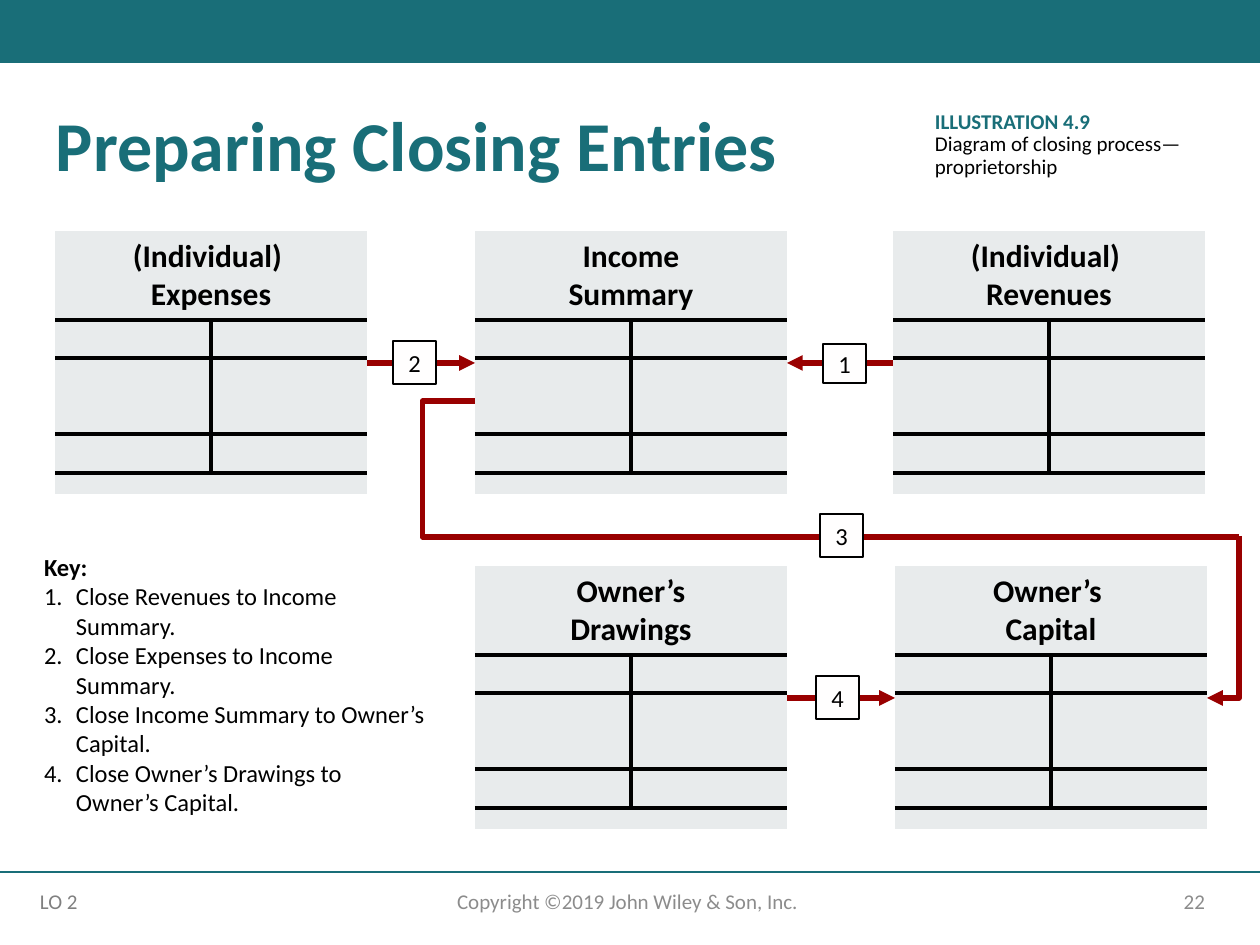
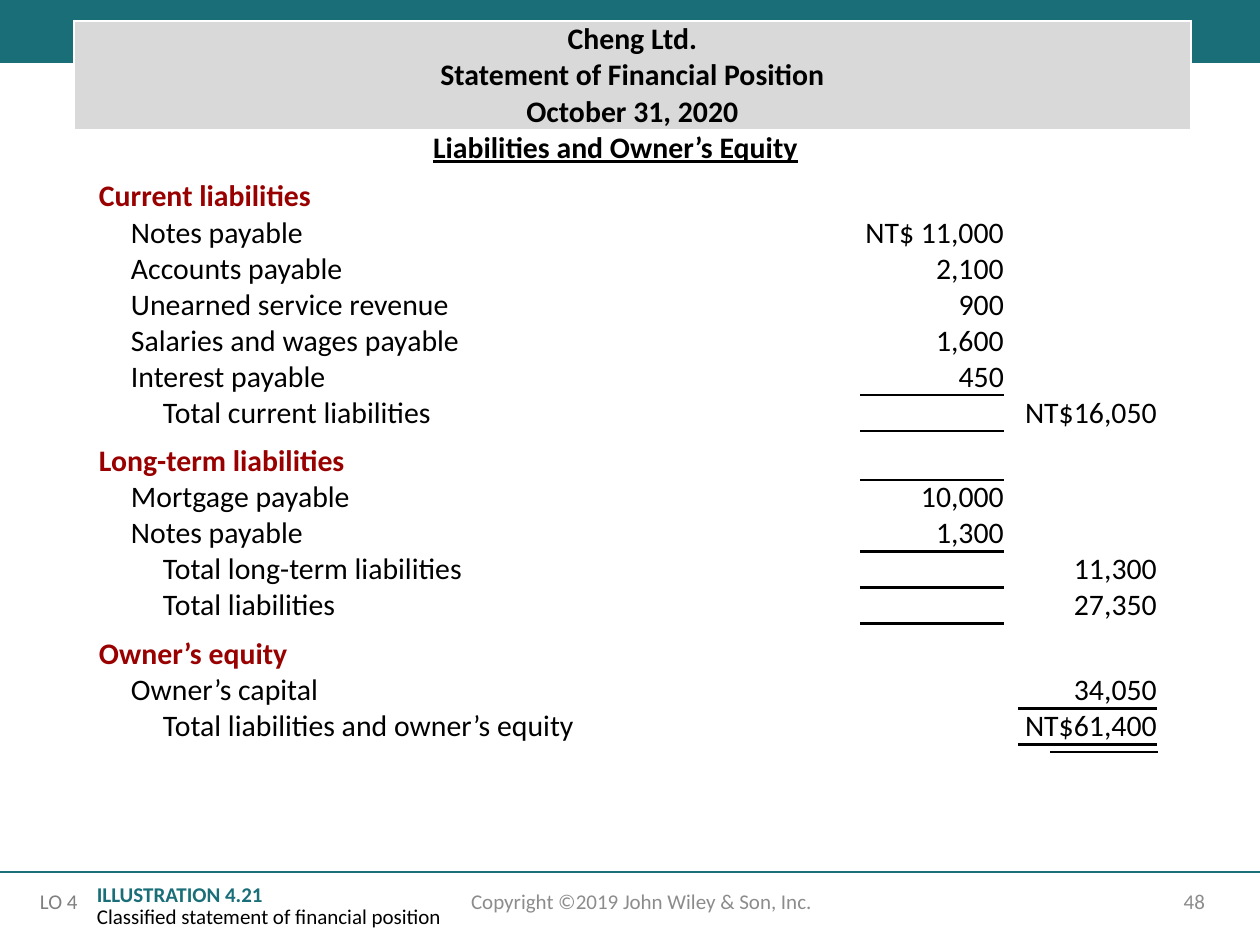
from lxml import etree
from pptx import Presentation
from pptx import util as u
from pptx.dml.color import RGBColor
from pptx.enum import shapes, text
from pptx.oxml.ns import qn

TEAL, RED, BLACK, WHITE = "196E78", "990000", "000000", "FFFFFF"
PALE, SILVER, GRAY, DIM = "E8EBEC", "D9D9D9", "8C8C8C", "808080"
FONT = "Calibri"
PLAIN = "{2D5ABB26-0587-4C30-8999-92F81FD0307C}"
CENTER, RIGHT = text.PP_ALIGN.CENTER, text.PP_ALIGN.RIGHT
TOP, MIDDLE, BOTTOM = (text.MSO_ANCHOR.TOP, text.MSO_ANCHOR.MIDDLE,
                       text.MSO_ANCHOR.BOTTOM)
STRAIGHT, ELBOW = shapes.MSO_CONNECTOR.STRAIGHT, shapes.MSO_CONNECTOR.ELBOW

# All lengths below are px
INSET = (13, 6, 13, 6)
COPYRIGHT = "Copyright ©2019 John Wiley & Son, Inc. "

TITLE = "Preparing Closing Entries"
ACCOUNTS = [
    (55, 231, ("(Individual) ", "Expenses")),
    (893, 231, ("(Individual) ", "Revenues")),
    (475, 231, ("Income", "Summary")),
    (895, 566, ("Owner’s ", "Capital")),
    (475, 566, ("Owner’s", "Drawings")),
]
ACCOUNT_COLS = (156, 156)
ACCOUNT_ROWS = (89, 38, 38, 38, 39, 21)
RULED = (0, 3, 4)
ARROWS = [(787, 698, 895, 698), (367, 363, 475, 363), (893, 363, 787, 363)]
STEPS = [
    ("1", (823, 344, 43, 39)),
    ("2", (393, 341, 43, 43)),
    ("3", (820, 514, 43, 43)),
    ("4", (816, 676, 43, 43)),
]
KEY = [
    "Close Revenues to Income Summary.",
    "Close Expenses to Income Summary.",
    "Close Income Summary to Owner’s Capital.",
    "Close Owner’s Drawings to Owner’s Capital.",
]

HEADING = ("Cheng Ltd.", "Statement of Financial Position", "October 31, 2020")
SECTION = "Liabilities and Owner’s Equity"
# level, label, inner amount, outer amount
ENTRIES = [
    (0, "Current liabilities", "", ""),
    (1, "Notes payable", "NT$ 11,000", ""),
    (1, "Accounts payable", "2,100", ""),
    (1, "Unearned service revenue", "900", ""),
    (1, "Salaries and wages payable", "1,600", ""),
    (1, "Interest payable", "450", ""),
    (2, "Total current liabilities", "", "NT$16,050"),
    (0, "Long-term liabilities", "", ""),
    (1, "Mortgage payable", "10,000", ""),
    (1, "Notes payable", "1,300", ""),
    (2, "Total long-term liabilities", "", "11,300"),
    (2, "Total liabilities", "", "27,350"),
    (0, "Owner’s equity", "", ""),
    (1, "Owner’s capital", "", "34,050"),
    (2, "Total liabilities and owner’s equity", "", "NT$61,400"),
]
SHEET_COLS = (665, 106, 15, 144, 14, 139, 34)
INNER, OUTER = 3, 5
SUMS = {(7, INNER), (8, INNER), (11, INNER), (12, INNER),
        (15, OUTER), (16, OUTER)}


def px(n):
    return u.Emu(round(n * 914400 / 126))


def rgb(code):
    return RGBColor.from_string(code)


def write(frame, paras, **base):
    """Fill a frame or cell; each paragraph is a string or (string, format)."""
    for i, item in enumerate(paras):
        words, own = (item, {}) if isinstance(item, str) else item
        par = frame.paragraphs[0] if i == 0 else frame.add_paragraph()
        run = par.add_run()
        run.text = words
        run.font.name = FONT
        for name, value in {"color": BLACK, **base, **own}.items():
            if name == "color":
                run.font.color.rgb = rgb(value)
            elif name == "size":
                run.font.size = u.Pt(value)
            elif name in ("alignment", "line_spacing"):
                setattr(par, name, value)
            elif name in ("marL", "indent"):
                par._p.get_or_add_pPr().set(name, str(px(value)))
            elif name == "number":
                etree.SubElement(par._p.get_or_add_pPr(), qn("a:buAutoNum"),
                                 type=value)
            else:
                setattr(run.font, name, value)


def pad(thing, inset):
    sides = ("margin_left", "margin_top", "margin_right", "margin_bottom")
    for side, value in zip(sides, inset):
        setattr(thing, side, px(value))


def put(slide, box, paras, fill=None, line=None, anchor=TOP, inset=INSET, **fmt):
    """Add a text box, or a rectangle when a fill is given."""
    spot = [px(n) for n in box]
    if fill:
        shape = slide.shapes.add_shape(shapes.MSO_SHAPE.RECTANGLE, *spot)
        shape.shadow.inherit = False
        shape.fill.solid()
        shape.fill.fore_color.rgb = rgb(fill)
        if line:
            shape.line.color.rgb = rgb(line)
            shape.line.width = u.Pt(0.75)
        else:
            shape.line.fill.background()
    else:
        shape = slide.shapes.add_textbox(*spot)
    frame = shape.text_frame
    frame.word_wrap = True
    frame.vertical_anchor = anchor
    pad(frame, inset)
    write(frame, paras, **{"alignment": text.PP_ALIGN.LEFT, **fmt})


def link(slide, ends, color, width, head=False, kind=STRAIGHT):
    wire = slide.shapes.add_connector(kind, *[px(n) for n in ends])
    wire.line.color.rgb = rgb(color)
    wire.line.width = u.Pt(width)
    if head:
        etree.SubElement(wire.line._get_or_add_ln(), qn("a:tailEnd"),
                         type="triangle")
    etree.SubElement(wire._element.spPr, qn("a:effectLst"))
    return wire


def grid(slide, left, top, cols, rows):
    """Add a table without any style and size its columns and rows."""
    spot = [px(n) for n in (left, top, sum(cols), sum(rows))]
    table = slide.shapes.add_table(len(rows), len(cols), *spot).table
    table.first_row = table.horz_banding = False
    table._tbl.tblPr[0].text = PLAIN
    for col, wide in zip(table.columns, cols):
        col.width = px(wide)
    for row, high in zip(table.rows, rows):
        row.height = px(high)
    return table


def dress(cell, sides, color, width, fill=None):
    """Set the borders named by letters of LRTB, then the fill."""
    props = cell._tc.get_or_add_tcPr()
    for side in "LRTB":
        if side in sides:
            edge = etree.SubElement(props, qn("a:ln" + side),
                                    w=str(u.Pt(width)))
            solid = etree.SubElement(edge, qn("a:solidFill"))
            etree.SubElement(solid, qn("a:srgbClr"), val=color)
    if fill:
        cell.fill.solid()
        cell.fill.fore_color.rgb = rgb(fill)
    else:
        cell.fill.background()
    cell.vertical_anchor = BOTTOM
    pad(cell, (0, 0, 0, 0))


def shrink(table):
    """Keep empty cells from stretching their rows."""
    for cell in table.iter_cells():
        if not cell.text:
            etree.SubElement(cell.text_frame.paragraphs[0]._p,
                             qn("a:endParaRPr"), sz="800")


def account(slide, left, top, name):
    table = grid(slide, left, top, ACCOUNT_COLS, ACCOUNT_ROWS)
    for r in range(len(ACCOUNT_ROWS)):
        for c in range(2):
            sides = "B" if r in RULED else ""
            sides += "T" if r - 1 in RULED else ""
            sides += "RL"[c] if 1 <= r <= 4 else ""
            dress(table.cell(r, c), sides, BLACK, 2.25, PALE)
    head = table.cell(0, 0)
    head.merge(table.cell(0, 1))
    pad(head, (0, 6, 0, 6))
    write(head.text_frame, name, size=18, bold=True, alignment=CENTER)
    shrink(table)


def sheet(slide):
    """Build the statement table."""
    rows = [109, 36] + [36 if entry[0] else 49 for entry in ENTRIES]
    table = grid(slide, 74, 21, SHEET_COLS, rows)
    for r in range(len(rows)):
        for c in range(len(SHEET_COLS)):
            if r == 0:
                dress(table.cell(r, c), "LRTB", WHITE, 1, SILVER)
                continue
            sides = "B" if (r, c) in SUMS else ""
            sides += "T" if (r - 1, c) in SUMS else ""
            dress(table.cell(r, c), sides, BLACK, 1.5)
    title, section = table.cell(0, 0), table.cell(1, 0)
    title.merge(table.cell(0, 6))
    section.merge(table.cell(1, 5))
    bold = {"size": 17, "bold": True}
    write(title.text_frame, HEADING, alignment=CENTER, **bold)
    write(section.text_frame, [SECTION], alignment=CENTER, underline=True, **bold)
    for r, (level, label, inner, outer) in enumerate(ENTRIES, 2):
        cell = table.cell(r, 0)
        pad(cell, (25, 0 if level else 12, 0, 0))
        write(cell.text_frame, [label], size=17, bold=level == 0,
              color=BLACK if level else RED, marL=level * 32)
        for c, amount in ((INNER, inner), (OUTER, outer)):
            if amount:
                write(table.cell(r, c).text_frame, [amount], size=17,
                      alignment=RIGHT)
    shrink(table)


def caption(slide, box, number, label):
    put(slide, box, [("ILLUSTRATION " + number, {"color": TEAL, "bold": True}),
                     label], fill=WHITE, size=12, line_spacing=0.9)


def base(deck, goal, page, left):
    """Add a slide with the band and footer; left places the copyright."""
    slide = deck.slides.add_slide(deck.slide_layouts[6])
    put(slide, (0, 0, 1260, 63), [], fill=TEAL)
    link(slide, (0, 872, 1260, 872), TEAL, 1)
    foot = {"size": 12, "color": GRAY, "anchor": MIDDLE}
    put(slide, (890, 876, 328, 50), [page], alignment=RIGHT, **foot)
    put(slide, (left, 876, 426, 50), [COPYRIGHT], alignment=CENTER, **foot)
    put(slide, (32, 883, 67, 38), [goal], size=12, color=DIM,
        inset=(0, 6, 0, 6), marL=8)
    return slide


def closing(deck):
    slide = base(deck, "LO 2", "22", 417)
    put(slide, (43, 105, 1196, 89), [TITLE], size=40, bold=True, color=TEAL,
        line_spacing=0.9)
    for spot in ACCOUNTS:
        account(slide, *spot)
    for ends in ARROWS:
        link(slide, ends, RED, 3, head=True)

    path = link(slide, (475, 401, 1239, 537), RED, 3, kind=ELBOW)
    guides = path._element.spPr.prstGeom.get_or_add_avLst()
    etree.SubElement(guides, qn("a:gd"), name="adj1",
                     fmla=f"val {round(-53 / 764 * 100000)}")
    drop = link(slide, (1142, 601, 1304, 633), RED, 3, head=True, kind=ELBOW)
    drop._element.spPr.prstGeom.set("prst", "bentConnector2")
    drop._element.spPr.xfrm.set("rot", str(90 * 60000))

    for digit, box in STEPS:
        put(slide, box, [digit], fill="FFFEFE", line=BLACK, anchor=MIDDLE,
            size=14, alignment=CENTER)
    item = {"marL": 32, "indent": -32, "number": "arabicPeriod"}
    put(slide, (31, 546, 408, 280),
        [("Key:", {"bold": True})] + [(line, item) for line in KEY], size=14)
    caption(slide, (922, 105, 286, 82), "4.9",
            "Diagram of closing process—proprietorship")


def position(deck):
    slide = base(deck, "LO 4", "48", 431)
    caption(slide, (84, 878, 375, 58), "4.21",
            "Classified statement of financial position")
    sheet(slide)
    link(slide, (1050, 752, 1158, 752), BLACK, 1.5)


def main():
    deck = Presentation()
    deck.slide_width, deck.slide_height = px(1260), px(945)
    closing(deck)
    position(deck)
    deck.save("out.pptx")


if __name__ == "__main__":
    main()
